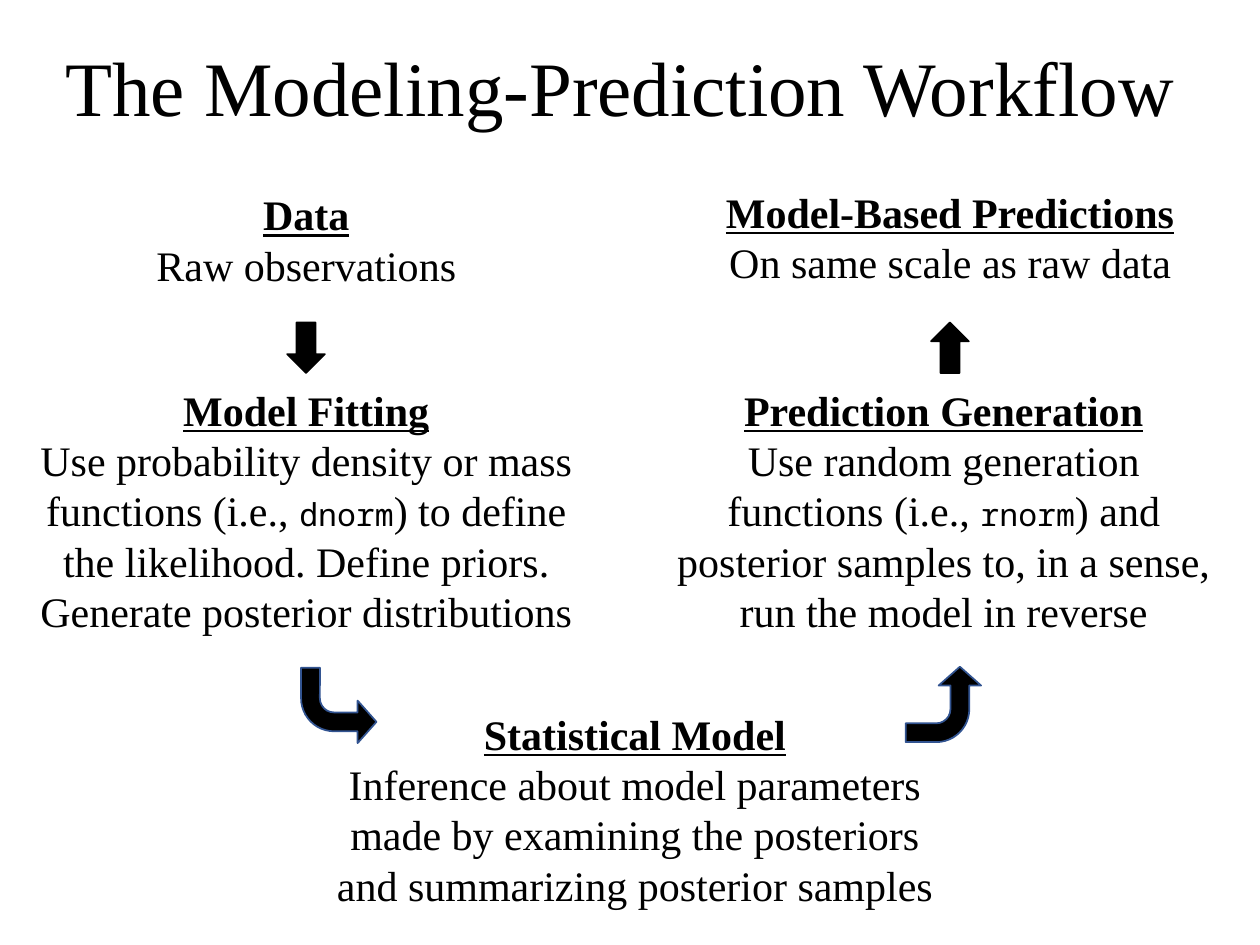
from pptx import Presentation
from pptx.dml.color import RGBColor
from pptx.enum.shapes import MSO_SHAPE
from pptx.enum.text import MSO_ANCHOR, MSO_AUTO_SIZE, PP_ALIGN
from pptx.util import Cm, Pt

INK = {"text": "000000", "fill": "000000", "edge": "325491"}
SERIF = "Times New Roman"
TITLE = {"name": SERIF, "size": Pt(44)}
BODY = {"name": SERIF, "size": Pt(24), "bold": False, "underline": False}
HEAD = BODY | {"bold": True, "underline": True}
CODE = BODY | {"name": "Noto Sans Mono", "size": Pt(18)}
BEND = (0.25, 0.282, 0.25, 0.438)


def color(key):
    return RGBColor.from_string(INK[key])


def add_run(para, text, style):
    run = para.add_run()
    run.text = text
    for key, value in style.items():
        setattr(run.font, key, value)
    run.font.color.rgb = color("text")


def add_frame(slide, box, **look):
    frame = slide.shapes.add_textbox(*map(Cm, box)).text_frame
    frame.word_wrap = True
    for key, value in look.items():
        setattr(frame, key, value)
    return frame


def add_title(slide, box, text):
    frame = add_frame(slide, box, vertical_anchor=MSO_ANCHOR.MIDDLE)
    para = frame.paragraphs[0]
    para.alignment = PP_ALIGN.CENTER
    para.line_spacing = 0.9
    add_run(para, text, TITLE)


def add_step(slide, box, head, *parts):
    """Heading over a body whose parts alternate between prose and code."""
    frame = add_frame(slide, box, auto_size=MSO_AUTO_SIZE.SHAPE_TO_FIT_TEXT)
    top, body = frame.paragraphs[0], frame.add_paragraph()
    top.alignment = body.alignment = PP_ALIGN.CENTER
    add_run(top, head, HEAD)
    for i, part in enumerate(parts):
        add_run(body, part, CODE if i % 2 else BODY)


def add_arrow(slide, box, kind, turn, edge, bend=(), flip=False):
    arrow = slide.shapes.add_shape(kind, *map(Cm, box))
    arrow.shadow.inherit = False
    arrow.rotation = turn
    arrow.fill.solid()
    arrow.fill.fore_color.rgb = color("fill")
    arrow.line.color.rgb = color(edge)
    arrow.line.width = Pt(1)
    for i, value in enumerate(bend):
        arrow.adjustments[i] = value
    if flip:
        arrow._element.spPr.xfrm.set("flipH", "1")


def main():
    deck = Presentation()
    deck.slide_width, deck.slide_height = Cm(25.4), Cm(19.05)
    slide = deck.slides.add_slide(deck.slide_layouts[6])

    add_title(slide, (1.04, 0, 23.32, 3.68), "The Modeling-Prediction Workflow ")

    # Left column: from data to fit
    add_step(slide, (0.46, 3.68, 11.43, 2.31), "Data", "Raw observations")
    add_step(slide, (0.46, 7.62, 11.43, 5.38), "Model Fitting",
             "Use probability density or mass functions (i.e., ", "dnorm",
             ") to define the likelihood. Define priors. "
             "Generate posterior distributions")

    # Right column: from samples to predictions
    add_step(slide, (13.44, 3.63, 11.43, 2.31), "Model-Based Predictions",
             "On same scale as raw data")
    add_step(slide, (13.31, 7.62, 11.43, 5.38), "Prediction Generation",
             "Use random generation functions (i.e., ", "rnorm",
             ") and posterior samples to, in a sense, "
             "run the model in reverse")

    # Bottom: the model that links both columns
    add_step(slide, (6.45, 14.15, 12.7, 4.37), "Statistical Model",
             "Inference about model parameters made by examining "
             "the posteriors and summarizing posterior samples")

    # Straight arrows within the columns
    for left, turn in ((5.79, 0), (18.77, 180)):
        add_arrow(slide, (left, 6.5, 0.76, 1.02), MSO_SHAPE.DOWN_ARROW,
                  turn, "fill")

    # Bent arrows into and out of the model
    for left, top, turn in ((6.07, 13.46, 180), (18.26, 13.44, 90)):
        add_arrow(slide, (left, top, 1.52, 1.52), MSO_SHAPE.BENT_ARROW,
                  turn, "edge", BEND, flip=True)

    deck.save("out.pptx")


if __name__ == "__main__":
    main()
